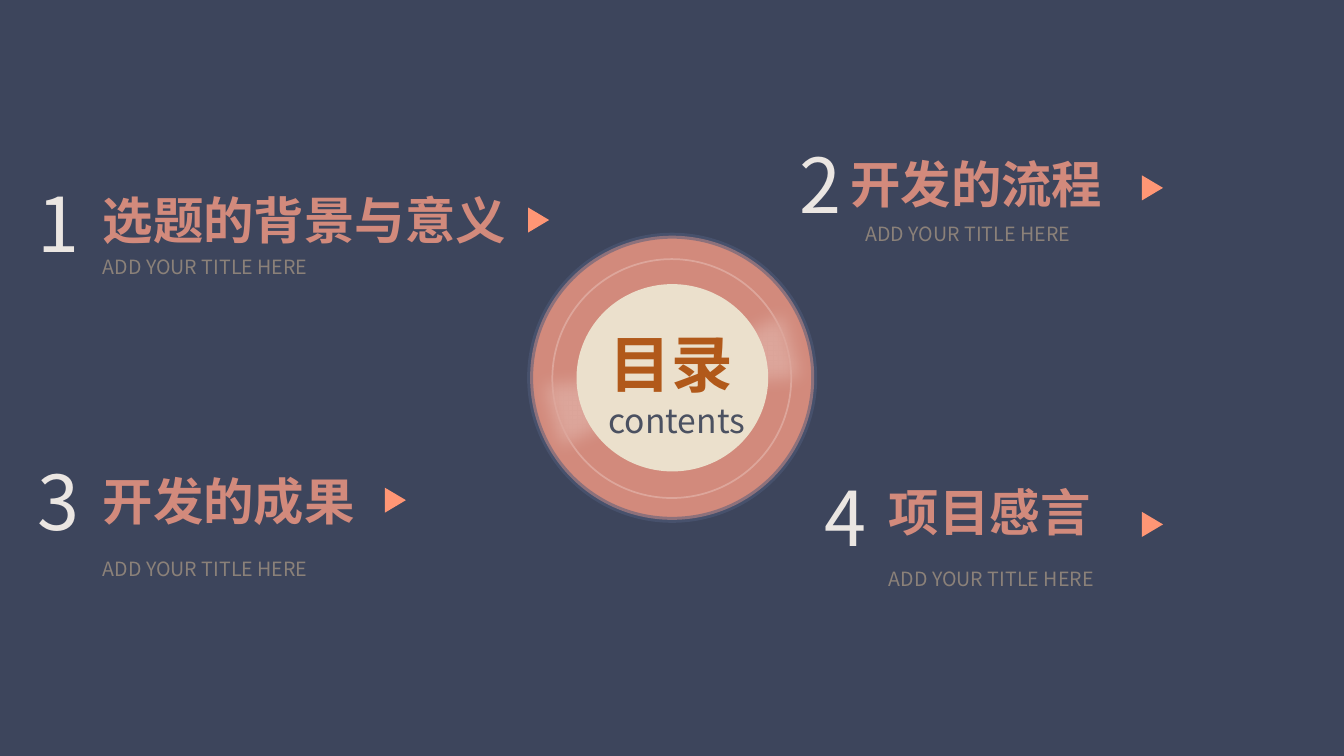
from dataclasses import dataclass

from lxml import etree
from pptx import Presentation
from pptx.dml.color import RGBColor
from pptx.enum.shapes import MSO_SHAPE
from pptx.enum.text import MSO_AUTO_SIZE
from pptx.oxml.ns import qn
from pptx.shapes.autoshape import Shape
from pptx.slide import Slide
from pptx.util import Cm, Pt

ELLIPSE = MSO_SHAPE.OVAL
TRAPEZOID = MSO_SHAPE.FLOWCHART_MANUAL_OPERATION
GROW = MSO_AUTO_SIZE.SHAPE_TO_FIT_TEXT

FONT = "Noto Sans CJK SC"
SUBTITLE = "ADD YOUR TITLE HERE"
COLORS = {
    "background": "3D455C",
    "coral": "D28A7C",
    "rim": "515C7B",
    "highlight": "DDA69B",
    "cream": "EBE0CC",
    "number": "EBE6E2",
    "shade": "6F5F5F",
    "heading": "B1591A",
    "contents": "4B5161",
    "subtitle": "8B8179",
    "arrow": "FF9675",
}


@dataclass
class Box:
    """Position and size in centimetres."""
    left: float
    top: float
    width: float
    height: float


@dataclass
class TextStyle:
    size: int
    color: str
    bold: bool = False


@dataclass
class Chapter:
    """Places (left, top) of the parts of one contents entry."""
    title: str
    number_at: tuple[float, float]
    title_at: tuple[float, float]
    title_width: float
    subtitle_at: tuple[float, float]
    arrow_at: tuple[float, float]
    wrap: bool = False


NUMBER = TextStyle(54, "number")
TITLE = TextStyle(36, "coral", True)
CAPTION = TextStyle(14, "subtitle")

CHAPTERS = [
    Chapter("选题的背景与意义", (0.69, 4.34), (2.34, 4.65), 11.05,
            (2.34, 6.3), (13.31, 5.23), wrap=True),
    Chapter("开发的流程", (19.91, 3.35), (21.18, 3.73), 6.86,
            (21.56, 5.46), (28.78, 4.42)),
    Chapter("开发的成果", (0.69, 11.35), (2.34, 11.73), 6.86,
            (2.34, 13.92), (9.7, 12.29)),
    Chapter("项目感言", (20.52, 11.73), (22.15, 12.01), 5.59,
            (22.15, 14.15), (28.78, 12.9)),
]


def rgb(name: str) -> RGBColor:
    return RGBColor.from_string(COLORS[name])


def paint(shape: Shape, fill: str = "", line: str = "", width: float = 0) -> None:
    shape.shadow.inherit = False
    if fill:
        shape.fill.solid()
        shape.fill.fore_color.rgb = rgb(fill)
    else:
        shape.fill.background()
    if line:
        shape.line.color.rgb = rgb(line)
        shape.line.width = Pt(width)
    else:
        shape.line.fill.background()


def add_figure(page: Slide, kind: MSO_SHAPE, box: Box, fill: str = "",
               line: str = "", width: float = 0) -> Shape:
    shape = page.shapes.add_shape(
        kind, Cm(box.left), Cm(box.top), Cm(box.width), Cm(box.height))
    paint(shape, fill, line, width)
    return shape


def add_highlight(page: Slide, box: Box, angle: float, line: str) -> None:
    shape = add_figure(page, TRAPEZOID, box, "highlight", line, 1)
    shape.rotation = angle
    effects = shape._element.spPr.find(qn("a:effectLst"))
    etree.SubElement(effects, qn("a:softEdge"), rad=str(Pt(12.5)))


def add_text(page: Slide, box: Box, text: str, style: TextStyle,
             wrap: bool = False) -> None:
    frame = page.shapes.add_textbox(
        Cm(box.left), Cm(box.top), Cm(box.width), Cm(box.height)).text_frame
    frame.word_wrap = wrap
    frame.auto_size = GROW
    para = frame.paragraphs[0]
    para.text = text
    para.font.size = Pt(style.size)
    para.font.bold = style.bold
    para.font.color.rgb = rgb(style.color)
    para.font.name = FONT
    # East Asian characters need their own typeface entry
    properties = para._p.find(qn("a:pPr")).find(qn("a:defRPr"))
    etree.SubElement(properties, qn("a:ea"), typeface=FONT)


def add_arrow(page: Slide, left: float, top: float) -> None:
    width, height = 0.53, 0.63
    outline = page.shapes.build_freeform(Cm(left), Cm(top))
    outline.add_line_segments([
        (Cm(left + width), Cm(top + height / 2)),
        (Cm(left), Cm(top + height)),
    ])
    paint(outline.convert_to_shape(), "arrow")


def add_disc(page: Slide) -> None:
    disc = add_figure(page, ELLIPSE, Box(13.36, 5.94, 7.16, 7.16), "coral", "rim", 4.25)
    rim_color = disc.line._ln.find(qn("a:solidFill"))[0]
    etree.SubElement(rim_color, qn("a:alpha"), val="53000")
    add_highlight(page, Box(17.53, 7.39, 2.82, 3.07), 74.7, "number")
    add_highlight(page, Box(13.51, 8.71, 2.82, 3.07), 254.4, "shade")
    add_figure(page, ELLIPSE, Box(14.53, 7.16, 4.83, 4.72), "cream")
    add_text(page, Box(15.11, 8.08, 3.66, 2.13), "目录", TextStyle(44, "heading", True))
    add_text(page, Box(15.09, 9.96, 4.04, 1.27), "contents", TextStyle(24, "contents"))
    add_figure(page, ELLIPSE, Box(13.92, 6.53, 6.02, 6.02), line="highlight", width=1.25)


def add_chapter(page: Slide, number: int, chapter: Chapter) -> None:
    add_text(page, Box(*chapter.number_at, 1.65, 2.57), str(number), NUMBER)
    add_text(page, Box(*chapter.title_at, chapter.title_width, 1.8),
             chapter.title, TITLE, chapter.wrap)
    add_arrow(page, *chapter.arrow_at)
    add_text(page, Box(*chapter.subtitle_at, 5.97, 0.86), SUBTITLE, CAPTION)


def main() -> None:
    deck = Presentation()
    deck.slide_width, deck.slide_height = Cm(33.87), Cm(19.05)
    page = deck.slides.add_slide(deck.slide_layouts[6])
    page.background.fill.solid()
    page.background.fill.fore_color.rgb = rgb("background")

    # Central disc
    add_disc(page)

    # Four contents entries around it
    for number, chapter in enumerate(CHAPTERS, start=1):
        add_chapter(page, number, chapter)

    deck.save("out.pptx")


if __name__ == "__main__":
    main()
